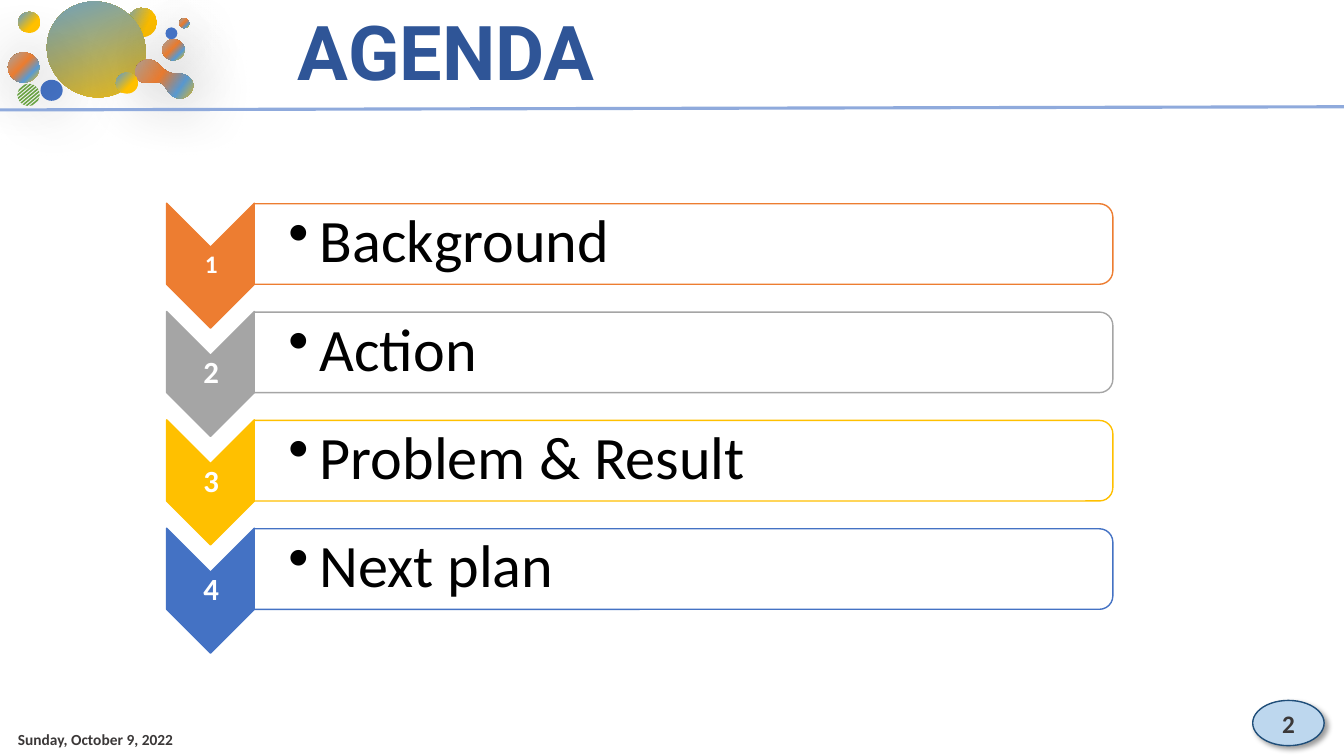
from dataclasses import dataclass
from math import asin, cos, pi, radians, sin

from lxml.etree import SubElement
from pptx import Presentation
from pptx.dml.color import RGBColor
from pptx.enum.shapes import MSO_CONNECTOR, MSO_SHAPE as Kind
from pptx.enum.text import MSO_ANCHOR as Anchor, PP_ALIGN as Align
from pptx.oxml.ns import qn
from pptx.util import Cm, Pt

GOLD = ((0, "FFC000"), (39, "FFC000"), (100, "5B9BD5"))
MIX = ((0, "FFC000"), (28, "5B9BD5"), (56, "ED7D31"), (100, "A5A5A5"))
SUN = ((0, "FFC000"), (100, "5B9BD5"))
BLUE = "4472C4"
STEP = 2.73


@dataclass
class Bubble:
    left: float
    top: float
    width: float
    height: float
    fill: str | tuple
    turn: float = 180
    shade: bool = False


@dataclass
class Item:
    label: str
    color: str
    size: int = 22


BUBBLES = (
    Bubble(3.2, 0.2, 0.76, 0.74, GOLD, 159.5),
    Bubble(1.17, 0.05, 2.51, 2.39, SUN, 206.4),
    Bubble(4.09, 0.99, 0.56, 0.53, MIX, shade=True),
    Bubble(4.52, 0.46, 0.25, 0.25, MIX, shade=True),
    Bubble(1.02, 2.01, 0.56, 0.53, BLUE, shade=True),
    Bubble(2.92, 1.83, 0.56, 0.53, GOLD),
    Bubble(0.2, 1.32, 0.79, 0.76, MIX, shade=True),
    Bubble(0.46, 0.3, 0.56, 0.53, GOLD),
    Bubble(4.17, 0.69, 0.3, 0.3, BLUE, shade=True),
)
BLOB_START = (4.42, 2.54)
BLOB_CURVES = (
    ((4.22, 2.49), (4.17, 2.26), (4.01, 2.16)),
    ((3.86, 2.03), (3.63, 2.13), (3.48, 1.88)),
    ((3.33, 1.65), (3.63, 1.37), (3.86, 1.45)),
    ((4.11, 1.52), (4.09, 1.78), (4.24, 1.91)),
    ((4.39, 2.01), (4.78, 1.91), (4.83, 2.16)),
    ((4.88, 2.44), (4.62, 2.59), (4.42, 2.54)),
)
ITEMS = (
    Item("Background", "ED7D31", 18),
    Item("Action", "A5A5A5"),
    Item("Problem & Result", "FFC000"),
    Item("Next plan", BLUE),
)


def rgb(code: str) -> RGBColor:
    return RGBColor.from_string(code)


def paint(shape, fill: str | tuple, line: str | None = None) -> None:
    """Fill with one colour or gradient stops, outline, and drop the shadow."""
    shape.shadow.inherit = False
    if isinstance(fill, str):
        shape.fill.solid()
        shape.fill.fore_color.rgb = rgb(fill)
    else:
        shape.fill.gradient()
        grad = shape._element.spPr.find(qn("a:gradFill"))
        grad.find(qn("a:lin")).set("ang", str(45 * 60000))
        stops = grad.find(qn("a:gsLst"))
        for old in list(stops):
            stops.remove(old)
        for pos, code in fill:
            stop = SubElement(stops, qn("a:gs"), pos=str(pos * 1000))
            SubElement(stop, qn("a:srgbClr"), val=code)
    if line:
        shape.line.color.rgb = rgb(line)
        shape.line.width = Pt(1)
    else:
        shape.line.fill.background()


def cast(shape, blur: int, alpha: int) -> None:
    """Add a soft shadow to a painted shape."""
    effects = shape._element.spPr.find(qn("a:effectLst"))
    outer = SubElement(effects, qn("a:outerShdw"), blurRad=str(Pt(blur)),
                       dist=str(Pt(3)), dir=str(45 * 60000), algn="tl", rotWithShape="0")
    color = SubElement(outer, qn("a:srgbClr"), val="000000")
    SubElement(color, qn("a:alpha"), val=str(alpha * 1000))


def add(slide, kind: Kind, box: tuple, fill: str | tuple, line: str | None = None,
        turn: float = 0):
    shape = slide.shapes.add_shape(kind, *map(Cm, box))
    shape.rotation = turn
    paint(shape, fill, line)
    return shape


def write(shape, text: str, size: int, color: str, bold: bool = True,
          font: str = "Calibri", anchor: Anchor = Anchor.MIDDLE,
          align: Align = Align.LEFT, inset: tuple | None = None):
    frame = shape.text_frame
    frame.word_wrap = True
    frame.vertical_anchor = anchor
    if inset:
        (frame.margin_left, frame.margin_top,
         frame.margin_right, frame.margin_bottom) = map(Cm, inset)
    para = frame.paragraphs[0]
    para.text = text
    para.alignment = align
    para.font.name = font
    para.font.size = Pt(size)
    para.font.bold = bold
    para.font.color.rgb = rgb(color)
    return para


def text_box(slide, box: tuple, *args, **style):
    return write(slide.shapes.add_textbox(*map(Cm, box)), *args, **style)


def draw_stripes(slide, mid: tuple, rad: float, count: int = 8) -> None:
    """Draw a ball made of slanted bars."""
    tilt, half = radians(-40), rad / count * 0.55

    def spot(angle: float) -> tuple:
        return tuple(Cm(m + rad * f(angle + tilt)) for m, f in zip(mid, (cos, sin)))

    pen = None
    for i in range(count):
        gap = rad * ((2 * i + 1) / count - 1)
        low, high = (asin((gap + d) / rad) for d in (-half, half))
        first, *rest = map(spot, (low, high, pi - high, pi - low))
        if pen is None:
            pen = slide.shapes.build_freeform(*first, scale=1.0)
        else:
            pen.move_to(*first)
        pen.add_line_segments(rest)
    paint(pen.convert_to_shape(), "70AD47")


def draw_blob(slide, steps: int = 10) -> None:
    pen = slide.shapes.build_freeform(*map(Cm, BLOB_START), scale=1.0)
    last, dots = BLOB_START, []
    for a, b, end in BLOB_CURVES:
        for t in (n / steps for n in range(1, steps + 1)):
            u = 1 - t
            dots.append(tuple(
                Cm(u**3 * p + 3 * u * u * t * q + 3 * u * t * t * r + t**3 * s)
                for p, q, r, s in zip(last, a, b, end)))
        last = end
    pen.add_line_segments(dots)
    blob = pen.convert_to_shape()
    blob.rotation = 170.2
    paint(blob, MIX)
    cast(blob, 48, 41)


def draw_bubble(slide, ball: Bubble) -> None:
    box = (ball.left, ball.top, ball.width, ball.height)
    shape = add(slide, Kind.OVAL, box, ball.fill, turn=ball.turn)
    if ball.shade:
        cast(shape, 48, 41)


def draw_item(slide, item: Item, row: int) -> None:
    drop = row * STEP
    add(slide, Kind.CHEVRON, (3.73, 5.59 + drop, 3.15, 2.21), item.color, item.color, 90)
    num = text_box(slide, (4.22, 6.22 + drop, 2.21, 0.94), str(row + 1), item.size,
                   "FFFFFF", align=Align.CENTER, inset=(0.05,) * 4)
    add(slide, Kind.ROUND_2_SAME_RECTANGLE, (16.21, -4.67 + drop, 2.03, 21.64),
        "FFFFFF", item.color, 90)
    label = text_box(slide, (6.43, 5.21 + drop, 21.54, 1.85), item.label, 43, "000000",
                     bold=False, inset=(0.84, 0.08, 0.08, 0.08))
    num.line_spacing = label.line_spacing = 0.9
    props = label._p.get_or_add_pPr()
    props.set("marL", str(Cm(0.79)))
    props.set("indent", str(-Cm(0.79)))
    bullet = props.makeelement(qn("a:buChar"), {"char": "•"})
    props.find(qn("a:lnSpc")).addnext(bullet)


def draw_frame(slide) -> None:
    """Draw the header art and rule, the date and the page number."""
    draw_stripes(slide, (0.72, 2.39), 0.28)
    for ball in BUBBLES[:2]:
        draw_bubble(slide, ball)
    draw_blob(slide)
    for ball in BUBBLES[2:]:
        draw_bubble(slide, ball)
    rule = slide.shapes.add_connector(MSO_CONNECTOR.STRAIGHT, Cm(0), Cm(2.77),
                                      Cm(33.87), Cm(2.69))
    rule.line.color.rgb = rgb("8FAADC")
    rule.line.width = Pt(2.25)
    SubElement(rule._element.spPr, qn("a:effectLst"))
    text_box(slide, (0.2, 18.11, 9.8, 1.02), "Sunday, October 9, 2022", 11, "3B3838")
    page = add(slide, Kind.OVAL, (31.57, 17.65, 1.8, 1.14), "BDD7EE", "1F4E79")
    cast(page, 4, 40)
    write(page, "2", 18, "3B3838", align=Align.CENTER)


def main() -> None:
    deck = Presentation()
    deck.slide_width, deck.slide_height = Cm(33.87), Cm(19.05)
    slide = deck.slides.add_slide(deck.slide_layouts[6])
    draw_frame(slide)
    text_box(slide, (7.26, 0, 15.14, 2.57), "AGENDA", 54, "2F5597", font="Roboto",
             anchor=Anchor.TOP)
    for row, item in enumerate(ITEMS):
        draw_item(slide, item, row)
    deck.save("out.pptx")


if __name__ == "__main__":
    main()
